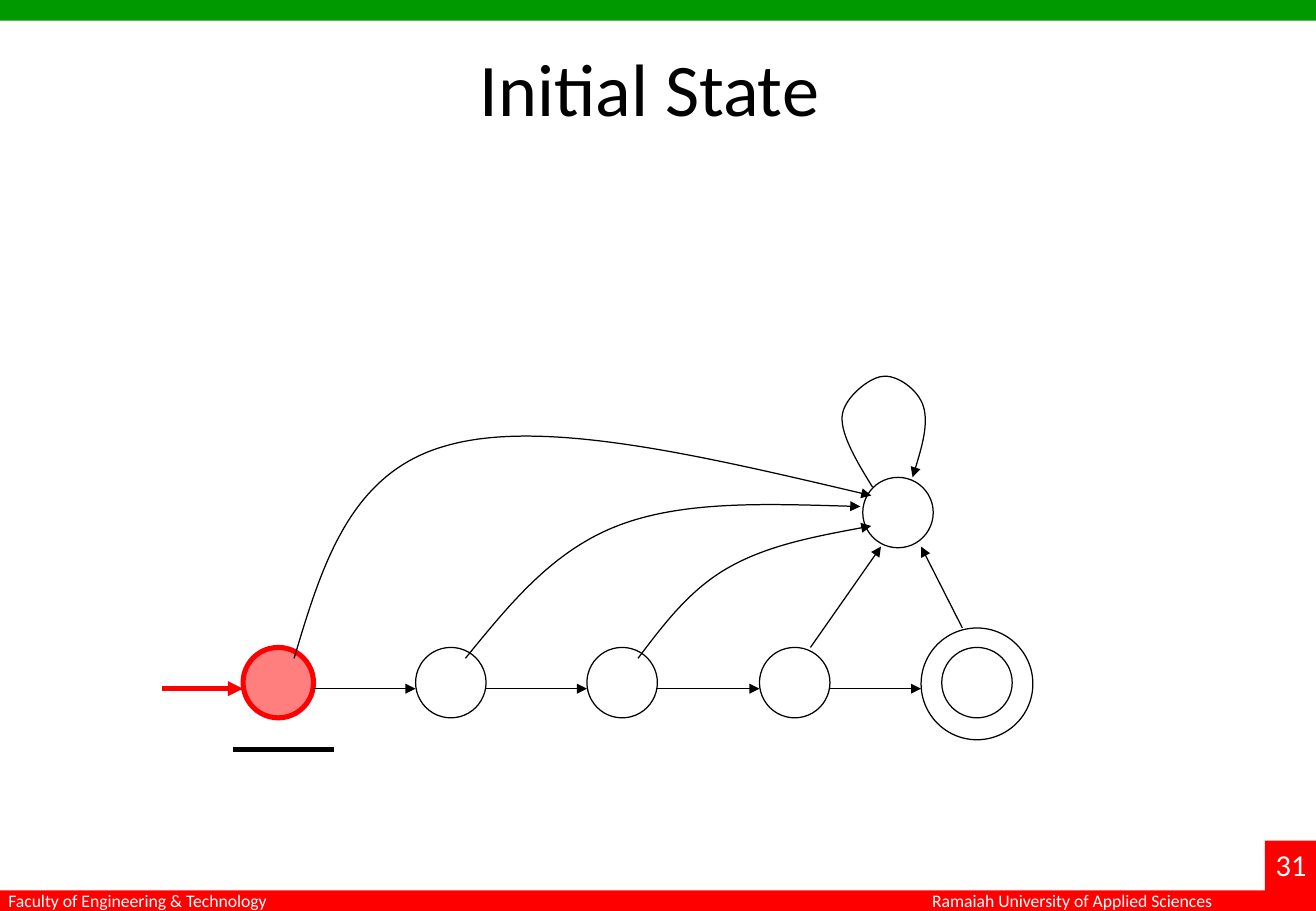
from lxml import etree
from pptx import Presentation
from pptx import util as u
from pptx.dml.color import RGBColor
from pptx.enum import shapes, text
from pptx.oxml.ns import qn

BLACK = RGBColor(0, 0, 0)
WHITE = RGBColor(255, 255, 255)
RED = RGBColor(255, 0, 0)
GREEN = RGBColor(0, 0x99, 0)

WIDTH, HEIGHT = 10.83, 7.5
BAR = 0.17
STATE = 0.58
STATE_TOP = 5.33
ARROW_Y = 5.67
STATE_XS = [round(2 + i * 4.25 / 3, 2) for i in range(4)]
FINAL_X, RING_X = 7.75, 7.58

# Each curve: a start point, then three points per Bézier segment.
CURVES = [
    [(7.18, 4.01), (7.05, 3.8), (6.92, 3.58), (6.93, 3.43),
     (6.94, 3.28), (7.15, 3.11), (7.26, 3.1),
     (7.38, 3.08), (7.56, 3.21), (7.6, 3.35),
     (7.64, 3.49), (7.58, 3.71), (7.51, 3.93)],
    [(5.25, 5.42), (5.47, 5.13), (5.68, 4.85), (6, 4.67),
     (6.32, 4.49), (6.74, 4.41), (7.17, 4.33)],
    [(3.83, 5.42), (4.19, 4.98), (4.54, 4.54), (5.08, 4.33),
     (5.62, 4.12), (6.35, 4.15), (7.08, 4.17)],
    [(2.42, 5.42), (2.65, 4.65), (2.88, 3.89), (3.67, 3.67),
     (4.46, 3.44), (5.81, 3.76), (7.17, 4.08)],
]


class Diagram:
    def __init__(self, slide, font="Calibri"):
        self.s = slide
        self.font = font

    def bar(self, x, y, w, h, color):
        sp = self.s.shapes.add_shape(
            shapes.MSO_SHAPE.RECTANGLE, *map(u.Inches, (x, y, w, h)))
        sp.shadow.inherit = False
        sp.fill.solid()
        sp.fill.fore_color.rgb = color
        sp.line.fill.background()

    def label(self, x, y, w, h, words, size, color, align=None, wrap=False):
        tf = self.s.shapes.add_textbox(*map(u.Inches, (x, y, w, h))).text_frame
        tf.word_wrap = wrap
        p = tf.paragraphs[0]
        p.text = words
        p.alignment = align
        p.font.name = self.font
        p.font.size = u.Pt(size)
        p.font.color.rgb = color

    def circle(self, x, y, size=STATE, color=BLACK, width=0.75, tint=None):
        """Draw an outlined circle; tint fills it at half opacity."""
        sp = self.s.shapes.add_shape(
            shapes.MSO_SHAPE.OVAL, *map(u.Inches, (x, y, size, size)))
        sp.shadow.inherit = False
        if tint is None:
            sp.fill.background()
        else:
            sp.fill.solid()
            sp.fill.fore_color.rgb = tint
            clr = sp.fill._xPr.find(".//" + qn("a:srgbClr"))
            etree.SubElement(clr, qn("a:alpha"), val="50000")
        self.stroke(sp, color, width)

    def stroke(self, sp, color, width, arrow=False):
        sp.line.color.rgb = color
        sp.line.width = u.Pt(width)
        if arrow:
            ln = sp.line._get_or_add_ln()
            etree.SubElement(ln, qn("a:tailEnd"), type="triangle")

    def line(self, start, end, color=BLACK, width=0.75, arrow=True):
        sp = self.s.shapes.add_connector(
            shapes.MSO_CONNECTOR.STRAIGHT, *map(u.Inches, (*start, *end)))
        self.stroke(sp, color, width, arrow)
        etree.SubElement(sp._element.spPr, qn("a:effectLst"))

    def curve(self, points):
        """Draw an arrow whose points after the first form cubic segments."""
        start, *rest = [(u.Inches(x), u.Inches(y)) for x, y in points]
        builder = self.s.shapes.build_freeform(*start)
        builder.add_line_segments(rest, close=False)
        sp = builder.convert_to_shape()
        sp.shadow.inherit = False
        sp.fill.background()
        self.stroke(sp, BLACK, 0.75, arrow=True)
        path = sp._element.spPr.find(".//" + qn("a:path"))
        steps = path.findall(qn("a:lnTo"))
        for i in range(0, len(steps), 3):
            cubic = etree.SubElement(path, qn("a:cubicBezTo"))
            for step in steps[i:i + 3]:
                cubic.append(step[0])
                path.remove(step)


def main():
    prs = Presentation()
    prs.slide_width, prs.slide_height = u.Inches(WIDTH), u.Inches(HEIGHT)
    d = Diagram(prs.slides.add_slide(prs.slide_layouts[6]))

    d.bar(0, 0, WIDTH, BAR, GREEN)
    d.bar(0, HEIGHT - BAR, WIDTH, BAR, RED)
    d.label(7.54, 7.28, 2.62, 0.28, " Ramaiah University of Applied Sciences",
            10.5, WHITE)
    d.bar(WIDTH - 0.42, 6.92, 0.42, 0.58, RED)
    d.label(10.4, 6.92, 0.5, 0.4, "31", 18, WHITE)
    d.label(-0.03, 7.28, 2.38, 0.28, "Faculty of Engineering & Technology",
            10.5, WHITE)
    d.label(0.54, 0.3, 9.75, 1.25, "Initial State ", 44, BLACK,
            text.PP_ALIGN.CENTER, wrap=True)

    initial, *others = STATE_XS
    d.circle(initial, STATE_TOP, color=RED, width=3, tint=RED)
    for x in others + [FINAL_X]:
        d.circle(x, STATE_TOP)
    d.circle(RING_X, 5.17, 0.92)
    d.circle(7.1, 3.93)

    d.line((1.33, ARROW_Y), (initial, ARROW_Y), RED, 3)
    for x, target in zip(STATE_XS, others + [RING_X]):
        d.line((x + STATE, ARROW_Y), (target, ARROW_Y))
    d.line((6.67, 5.33), (7.25, 4.5))
    d.line((7.92, 5.17), (7.58, 4.5))
    for points in CURVES:
        d.curve(points)
    d.line((1.92, 6.17), (2.75, 6.17), width=3, arrow=False)

    prs.save("out.pptx")


if __name__ == "__main__":
    main()
